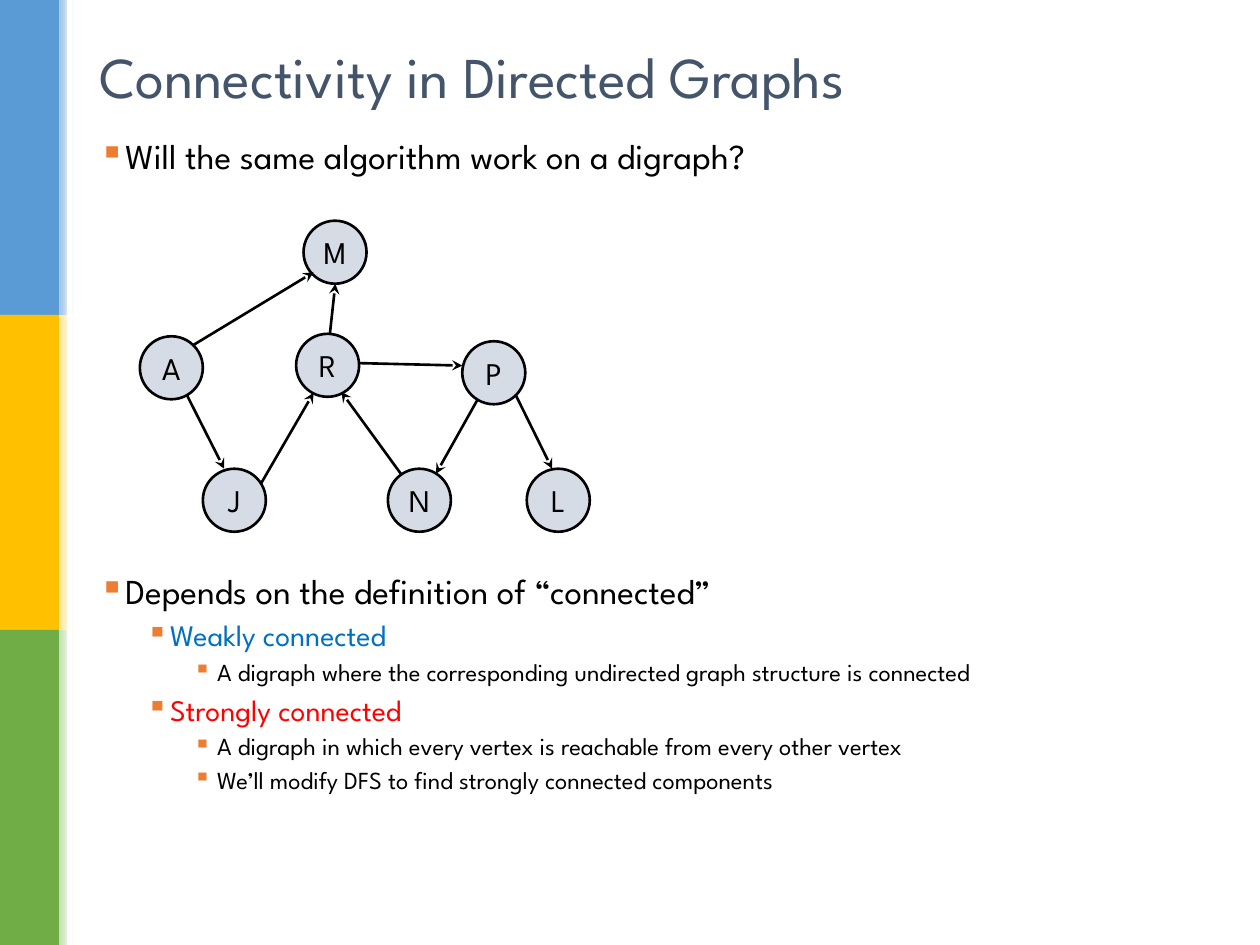
from lxml import etree
from pptx import Presentation
from pptx import util as u
from pptx.dml.color import RGBColor
from pptx.enum import shapes, text
from pptx.oxml.ns import qn

FONT = "League Spartan"
INK = "000000"
TITLE = "Connectivity in Directed Graphs"

# Side bands: solid colour, pale colour of the fading edge
BANDS = [("5B9BD5", "9DC3E6"), ("FFC000", "FFE699"), ("70AD47", "C5E0B4")]

# Body: level, colour, space before in points, wording
BODY = [
    (0, INK, 6, "Will the same algorithm work on a digraph?"),
    (0, INK, 227, "Depends on the definition of “connected”"),
    (1, "0070C0", 5, "Weakly connected"),
    (2, INK, 4, "A digraph where the corresponding undirected graph structure is connected"),
    (1, "FF0000", 5, "Strongly connected"),
    (2, INK, 4, "A digraph in which every vertex is reachable from every other vertex"),
    (2, INK, 4, "We’ll modify DFS to find strongly connected components"),
]
SIZES = [20, 17, 14]

# Graph in cm: left and top of each vertex, tail and tip of each edge
SIDE = 1.27
NODES = {
    "A": (2.82, 6.78), "J": (4.09, 9.45), "M": (6.12, 4.45), "P": (9.32, 6.88),
    "N": (7.82, 9.45), "L": (10.62, 9.45), "R": (5.97, 6.73),
}
EDGES = {
    "PL": (10.39, 7.95, 11.13, 9.45), "AM": (3.89, 6.96, 6.32, 5.49),
    "RP": (7.24, 7.32, 9.32, 7.37), "PN": (9.63, 8.05, 8.79, 9.55),
    "AJ": (3.76, 7.95, 4.52, 9.45), "RM": (6.65, 6.73, 6.76, 5.72),
    "JR": (5.26, 9.75, 6.32, 7.92), "NR": (8.08, 9.55, 6.88, 7.9),
}


def color(code):
    return RGBColor.from_string(code)


def cms(*vals):
    return [u.Cm(v) for v in vals]


def style(obj, **vals):
    for key, val in vals.items():
        setattr(obj, key, val)


def write(par, words, size, code):
    run = par.add_run()
    run.text = words
    style(run.font, name=FONT, size=u.Pt(size))
    run.font.color.rgb = color(code)


def shape(slide, kind, box, code):
    item = slide.shapes.add_shape(kind, *cms(*box))
    item.shadow.inherit = False
    item.fill.solid()
    item.fill.fore_color.rgb = color(code)
    item.line.fill.background()
    return item


def outline(item):
    item.line.fill.solid()
    item.line.color.rgb = color(INK)
    item.line.width = u.Pt(1.5)


def bullet(par, level):
    props = par._p.get_or_add_pPr()
    props.set("marL", str(u.Cm(0.48 + 0.95 * level)))
    props.set("indent", str(u.Cm(-0.48)))
    tint = etree.SubElement(props, qn("a:buClr"))
    etree.SubElement(tint, qn("a:srgbClr"), val="ED7D31")
    etree.SubElement(props, qn("a:buChar"), char="▪")


def bands(slide):
    rect, high = shapes.MSO_SHAPE.RECTANGLE, 6.35
    for row, (deep, pale) in enumerate(BANDS):
        shape(slide, rect, (0, row * high, 1.2, high), deep)
        fade = shape(slide, rect, (1.2, row * high, 0.3, high), pale).fill
        fade.gradient()
        fade.gradient_angle = 0
        for stop, code in zip(fade.gradient_stops, (pale, "FFFFFF")):
            stop.color.rgb = color(code)
    shape(slide, rect, (1.35, 0, 0.1, 3 * high), "FFFFFF")


def place(item, *box):
    style(item, **dict(zip(("left", "top", "width", "height"), cms(*box))))


def title(slide):
    head = slide.shapes.title
    place(head, 1.75, 0.66, 21.9, 1.73)
    style(head.text_frame, vertical_anchor=text.MSO_ANCHOR.MIDDLE, word_wrap=True)
    par = head.text_frame.paragraphs[0]
    par.alignment = text.PP_ALIGN.LEFT
    write(par, TITLE, 33, "44546A")


def body(slide):
    frame = slide.shapes.add_textbox(*cms(1.75, 2.69, 22.66, 16.05)).text_frame
    frame.word_wrap = True
    for num, (level, code, gap, words) in enumerate(BODY):
        par = frame.add_paragraph() if num else frame.paragraphs[0]
        style(par, level=level, line_spacing=0.9, space_before=u.Pt(gap))
        bullet(par, level)
        write(par, words, SIZES[level], code)


def graph(slide):
    for name, spot in NODES.items():
        node = shape(slide, shapes.MSO_SHAPE.OVAL, (*spot, SIDE, SIDE), "D6DCE5")
        outline(node)
        style(node.text_frame, word_wrap=False,
              vertical_anchor=text.MSO_ANCHOR.MIDDLE)
        par = node.text_frame.paragraphs[0]
        par.alignment = text.PP_ALIGN.CENTER
        write(par, name, 18, INK)
    for ends in EDGES.values():
        edge = slide.shapes.add_connector(shapes.MSO_CONNECTOR.STRAIGHT, *cms(*ends))
        outline(edge)
        etree.SubElement(edge.line._get_or_add_ln(), qn("a:tailEnd"), type="stealth")
        etree.SubElement(edge._element.spPr, qn("a:effectLst"))


def main():
    deck = Presentation()
    style(deck, slide_width=u.Cm(25.4), slide_height=u.Cm(19.05))
    slide = deck.slides.add_slide(deck.slide_layouts[5])
    for part in (bands, title, body, graph):
        part(slide)
    deck.save("out.pptx")


if __name__ == "__main__":
    main()
